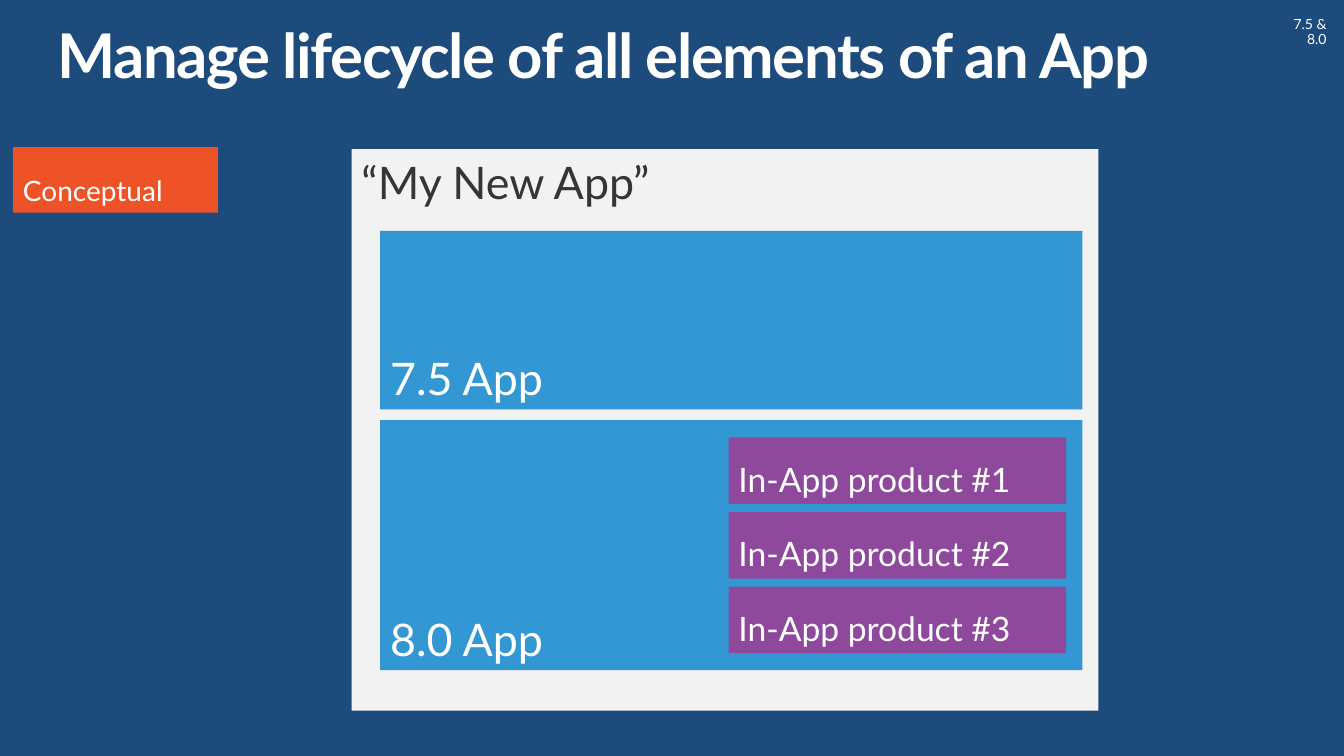
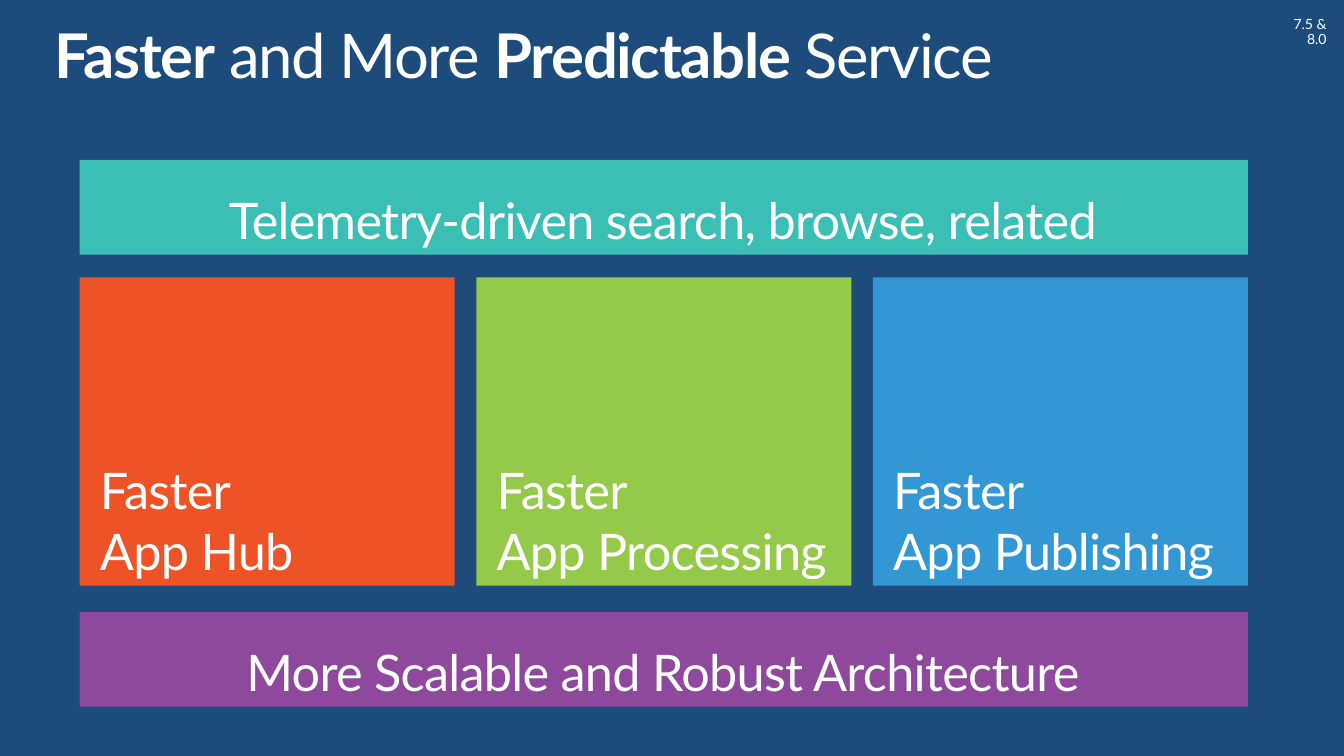
from dataclasses import dataclass

from pptx import Presentation
from pptx.dml.color import RGBColor
from pptx.enum.shapes import MSO_SHAPE as Preset
from pptx.enum.text import MSO_ANCHOR as Anchor, MSO_AUTO_SIZE as AutoSize, PP_ALIGN as Align
from pptx.presentation import Presentation as Deck
from pptx.shapes.base import BaseShape
from pptx.slide import Slide
from pptx.util import Cm, Pt


# Theme
@dataclass(frozen=True)
class Theme:
    font: str = "Lato"
    navy: str = "1D4C7C"
    white: str = "FFFFFF"
    ink: str = "363535"
    panel: str = "F2F2F2"
    blue: str = "3397D3"
    purple: str = "8E499C"
    orange: str = "ED5326"
    green: str = "94C949"
    teal: str = "3BBEB4"
    title_size: int = 44
    tile_size: int = 36
    app_size: int = 32
    product_size: int = 24
    tag_size: int = 20
    badge_size: int = 10


THEME = Theme()


@dataclass(frozen=True)
class Area:
    """Left, top, width and height in centimetres."""
    left: float
    top: float
    width: float
    height: float

    def lengths(self) -> tuple[Cm, Cm, Cm, Cm]:
        return Cm(self.left), Cm(self.top), Cm(self.width), Cm(self.height)


@dataclass(frozen=True)
class Span:
    text: str
    bold: bool = False


@dataclass(frozen=True)
class Block:
    """A filled rectangle with its label, one paragraph per line."""
    area: Area
    fill: str
    label: str
    size: int
    color: str = THEME.white
    anchor: Anchor = Anchor.BOTTOM
    align: Align = Align.LEFT
    left_inset: float = 0.25
    tracking: float = 0


# Drawing helpers
def write_text(box: BaseShape, lines: list[list[Span]], *, size: int,
               color: str = THEME.white, align: Align = Align.LEFT,
               anchor: Anchor = Anchor.TOP, line_spacing: float = 1.0, tracking: float = 0,
               insets: tuple[float, float, float, float] = (0, 0, 0, 0)) -> None:
    frame = box.text_frame
    frame.word_wrap = True
    frame.vertical_anchor = anchor
    (frame.margin_left, frame.margin_top,
     frame.margin_right, frame.margin_bottom) = map(Cm, insets)
    for index, line in enumerate(lines):
        para = frame.add_paragraph() if index else frame.paragraphs[0]
        para.alignment = align
        para.line_spacing = line_spacing
        for span in line:
            run = para.add_run()
            run.text = span.text
            run.font.name = THEME.font
            run.font.size = Pt(size)
            run.font.bold = span.bold
            run.font.color.rgb = RGBColor.from_string(color)
            if tracking:
                run._r.get_or_add_rPr().set("spc", str(round(tracking * 100)))


def draw_block(page: Slide, block: Block) -> None:
    box = page.shapes.add_shape(Preset.RECTANGLE, *block.area.lengths())
    box.shadow.inherit = False
    box.fill.solid()
    box.fill.fore_color.rgb = RGBColor.from_string(block.fill)
    box.line.fill.background()
    write_text(box, [[Span(line)] for line in block.label.split("\n")],
               size=block.size, color=block.color, align=block.align,
               anchor=block.anchor, tracking=block.tracking,
               insets=(block.left_inset, 0.13, 0.25, 0.13))


def add_page(deck: Deck, title: list[Span], title_left: float) -> Slide:
    """Add a slide with the shared title and version badge."""
    page = deck.slides.add_slide(deck.slide_layouts[6])
    title_box = page.shapes.add_textbox(*Area(title_left, 0.64, 31, 1.7).lengths())
    write_text(title_box, [title], size=THEME.title_size, line_spacing=0.9, tracking=-1)
    badge = page.shapes.add_textbox(*Area(31.78, 0.18, 1.9, 0.9).lengths())
    write_text(badge, [[Span("7.5 & 8.0")]], size=THEME.badge_size, align=Align.RIGHT,
               line_spacing=0.9, insets=(0.25, 0.25, 0.25, 0.25))
    badge.text_frame.auto_size = AutoSize.SHAPE_TO_FIT_TEXT
    return page


# Slide 1: parts of an app
def build_lifecycle(deck: Deck) -> None:
    page = add_page(deck, [Span("Manage lifecycle of all elements of an App", True)], 1.45)
    blocks = [
        Block(Area(8.86, 3.76, 18.82, 14.15), THEME.panel, "“My New App”",
              THEME.app_size, THEME.ink, Anchor.TOP),
        Block(Area(9.58, 5.82, 17.7, 4.5), THEME.blue, "7.5 App", THEME.app_size),
        Block(Area(9.58, 10.59, 17.7, 6.3), THEME.blue, "8.0 App", THEME.app_size),
        Block(Area(0.33, 3.71, 5.16, 1.65), THEME.orange, "Conceptual", THEME.tag_size),
    ]
    product_top, product_pitch = 11.02, 1.88
    blocks += [
        Block(Area(18.36, product_top + index * product_pitch, 8.51, 1.68),
              THEME.purple, f"In-App product #{index + 1}", THEME.product_size)
        for index in range(3)
    ]
    for block in blocks:
        draw_block(page, block)


# Slide 2: service improvements
def build_service(deck: Deck) -> None:
    page = add_page(deck, [Span("Faster", True), Span(" and More "),
                           Span("Predictable ", True), Span("Service")], 1.37)
    left, width, tile_width = 2.01, 29.44, 9.45
    bands = [
        (4.03, THEME.teal, "Telemetry-driven search, browse, related "),
        (15.42, THEME.purple, "More Scalable and Robust Architecture "),
    ]
    tiles = [
        (THEME.orange, "Faster\nApp Hub"),
        (THEME.green, "Faster\nApp Processing"),
        (THEME.blue, "Faster\nApp Publishing"),
    ]
    for top, fill, label in bands:
        draw_block(page, Block(Area(left, top, width, 2.39), fill, label, THEME.tile_size,
                               align=Align.CENTER, left_inset=0.51, tracking=-0.5))
    tile_pitch = (width - tile_width) / (len(tiles) - 1)
    for index, (fill, label) in enumerate(tiles):
        draw_block(page, Block(Area(left + index * tile_pitch, 6.99, tile_width, 7.77),
                               fill, label, THEME.tile_size, left_inset=0.51, tracking=-0.5))


def main() -> None:
    deck = Presentation()
    deck.slide_width, deck.slide_height = Cm(33.87), Cm(19.05)
    backdrop = deck.slide_master.background.fill
    backdrop.solid()
    backdrop.fore_color.rgb = RGBColor.from_string(THEME.navy)
    build_lifecycle(deck)
    build_service(deck)
    deck.save("out.pptx")


if __name__ == "__main__":
    main()
